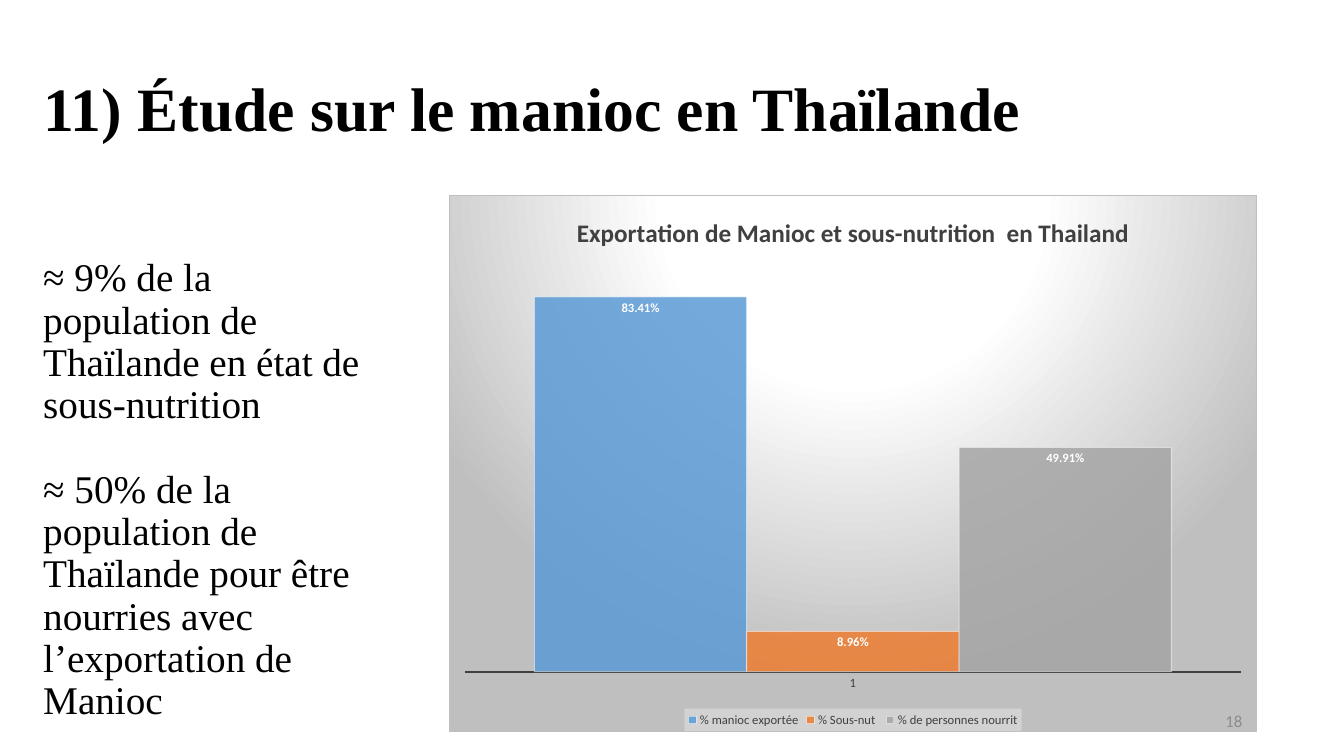
from lxml import etree
from pptx import Presentation
from pptx import util as u
from pptx.chart.data import CategoryChartData
from pptx.dml.color import RGBColor
from pptx.enum import chart as ch
from pptx.enum import text
from pptx.oxml import parse_xml
from pptx.oxml.ns import nsdecls, qn

TITLE = "11) Étude sur le manioc en Thaïlande"
FINDINGS = [
    "≈ 9% de la population de Thaïlande en état de sous-nutrition",
    "≈ 50% de la population de Thaïlande pour être nourries avec l’exportation de Manioc",
]
PAGE_NUMBER = "18"
CHART_TITLE = "Exportation de Manioc et sous-nutrition  en Thailand"
CATEGORY = "1"
SERIES = [  # name, value, colour
    ("% manioc exportée", 0.8341, "5B9BD5"),
    ("% Sous-nut ", 0.0896, "ED7D31"),
    ("% de personnes nourrit", 0.4991, "A5A5A5"),
]
PERCENT = "0.00%"

PLACES = {  # left, top, width, height
    "title": (0.33, 0.16, 12.14, 1.33),
    "findings": (0.33, 2.51, 3.62, 4.17),
    "chart": (4.45, 1.93, 8.02, 5.33),
    "number": (9.42, 6.95, 3, 0.4),
}
PLOT = {"x": 0.02, "y": 0.135, "w": 0.96, "h": 0.754}  # shares of the chart

SERIF, SANS = "Times New Roman", "Calibri"
THEME = {
    "title": dict(name=SERIF, size=44, color="000000", bold=True),
    "findings": dict(name=SERIF, size=28, color="000000"),
    "number": dict(name=SANS, size=12, color="8C8C8C"),
    "chart": dict(name=SANS, size=10, color="000000"),
    "chart title": dict(name=SANS, size=18, color="404040", bold=True),
    "axis": dict(name=SANS, size=9, color="404040"),
    "label": dict(name=SANS, size=9, color="FFFFFF", bold=True),
    "axis line": "404040",
    "bar line": "FFFFFF",
    "border": "BFBFBF",
    "legend": "F2F2F2",
    "glow": [(0, "FFFFFF"), (39, "FFFFFF"), (100, "BFBFBF")],
}


def place(name):
    return [u.Inches(length) for length in PLACES[name]]


def style(font, name):
    for key, value in THEME[name].items():
        if key == "color":
            font.color.rgb = RGBColor.from_string(value)
        else:
            setattr(font, key, u.Pt(value) if key == "size" else value)


def write(shape, name, lines, anchor, align=text.PP_ALIGN.LEFT, spacing=1.0, gap=0):
    frame = shape.text_frame
    frame.word_wrap = True
    frame.auto_size = text.MSO_AUTO_SIZE.NONE
    frame.vertical_anchor = anchor
    for index, line in enumerate(lines):
        para = frame.add_paragraph() if index else frame.paragraphs[0]
        para.alignment, para.line_spacing = align, spacing
        para.space_before = u.Pt(gap if index else 0)
        span = para.add_run()
        span.text = line
        style(span.font, name)


def set_alpha(fill, percent):
    """Make a solid fill, already coloured, partly transparent."""
    color = fill._xPr.find(qn("a:solidFill"))[0]
    etree.SubElement(color, qn("a:alpha"), val=str(percent * 1000))


def paint_background(chart):
    stops = "".join(
        f'<a:gs pos="{pos * 1000}"><a:srgbClr val="{color}"/></a:gs>'
        for pos, color in THEME["glow"])
    chart._chartSpace.find(qn("c:chart")).addnext(parse_xml(
        f'<c:spPr {nsdecls("c", "a")}><a:gradFill><a:gsLst>{stops}</a:gsLst>'
        '<a:path path="circle"><a:fillToRect l="50000" t="-80000" r="50000" b="180000"/>'
        f'</a:path></a:gradFill><a:ln w="{u.Pt(0.75)}"><a:solidFill>'
        f'<a:srgbClr val="{THEME["border"]}"/></a:solidFill></a:ln></c:spPr>'))


def fix_plot(chart):
    """Pin the inner plot area to the shares in PLOT."""
    area = chart._chartSpace.find(qn("c:chart")).find(qn("c:plotArea"))
    for layout in area.findall(qn("c:layout")):
        area.remove(layout)
    sizes = "".join(f'<c:{key} val="{share}"/>' for key, share in PLOT.items())
    area.insert(0, parse_xml(
        f'<c:layout {nsdecls("c")}><c:manualLayout><c:layoutTarget val="inner"/>'
        f'<c:xMode val="edge"/><c:yMode val="edge"/>{sizes}</c:manualLayout></c:layout>'))


def style_bars(plot):
    plot.gap_width, plot.overlap, plot.vary_by_categories = 65, 0, False
    for series, (_, _, color) in zip(plot.series, SERIES):
        bar = series.format
        bar.fill.solid()
        bar.fill.fore_color.rgb = RGBColor.from_string(color)
        set_alpha(bar.fill, 85)
        bar.line.width = u.Pt(0.75)
        bar.line.color.rgb = RGBColor.from_string(THEME["bar line"])
        set_alpha(bar.line.fill, 50)
        labels = series.data_labels
        formats = dict(show_value=True, number_format=PERCENT,
                       number_format_is_linked=False,
                       position=ch.XL_LABEL_POSITION.INSIDE_END)
        for key, value in formats.items():
            setattr(labels, key, value)
        style(labels.font, "label")


def style_axes(chart):
    bottom, side = chart.category_axis, chart.value_axis
    bottom.major_tick_mark = ch.XL_TICK_MARK.NONE
    bottom.format.line.width = u.Pt(1.5)
    bottom.format.line.color.rgb = RGBColor.from_string(THEME["axis line"])
    style(bottom.tick_labels.font, "axis")
    side.minimum_scale, side.maximum_scale = 0, 0.9
    side.has_major_gridlines = side.visible = False


def style_legend(chart):
    chart.has_legend = True
    legend = chart.legend
    legend.position = ch.XL_LEGEND_POSITION.BOTTOM
    legend.include_in_layout = False
    style(legend.font, "axis")
    legend._element.find(qn("c:txPr")).addprevious(parse_xml(
        f'<c:spPr {nsdecls("c", "a")}><a:solidFill><a:srgbClr val="{THEME["legend"]}">'
        '<a:alpha val="39000"/></a:srgbClr></a:solidFill></c:spPr>'))


def add_export_chart(page):
    data = CategoryChartData(number_format=PERCENT)
    data.categories = [CATEGORY]
    for name, value, _ in SERIES:
        data.add_series(name, [value])
    chart = page.shapes.add_chart(
        ch.XL_CHART_TYPE.COLUMN_CLUSTERED, *place("chart"), data).chart
    style(chart.font, "chart")
    chart.has_title = True
    span = chart.chart_title.text_frame.paragraphs[0].add_run()
    span.text = CHART_TITLE
    style(span.font, "chart title")
    paint_background(chart)
    fix_plot(chart)
    style_bars(chart.plots[0])
    style_axes(chart)
    style_legend(chart)


def main():
    deck = Presentation()
    deck.slide_width, deck.slide_height = u.Inches(13.33), u.Inches(7.5)
    page = deck.slides.add_slide(deck.slide_layouts[5])
    title = page.shapes.title
    title.left, title.top, title.width, title.height = place("title")
    write(title, "title", [TITLE], text.MSO_ANCHOR.BOTTOM, spacing=0.9)
    findings = page.shapes.add_textbox(*place("findings"))
    write(findings, "findings", FINDINGS, text.MSO_ANCHOR.TOP, spacing=0.9, gap=30)
    add_export_chart(page)
    number = page.shapes.add_textbox(*place("number"))
    write(number, "number", [PAGE_NUMBER], text.MSO_ANCHOR.MIDDLE, text.PP_ALIGN.RIGHT)
    deck.save("out.pptx")


if __name__ == "__main__":
    main()
